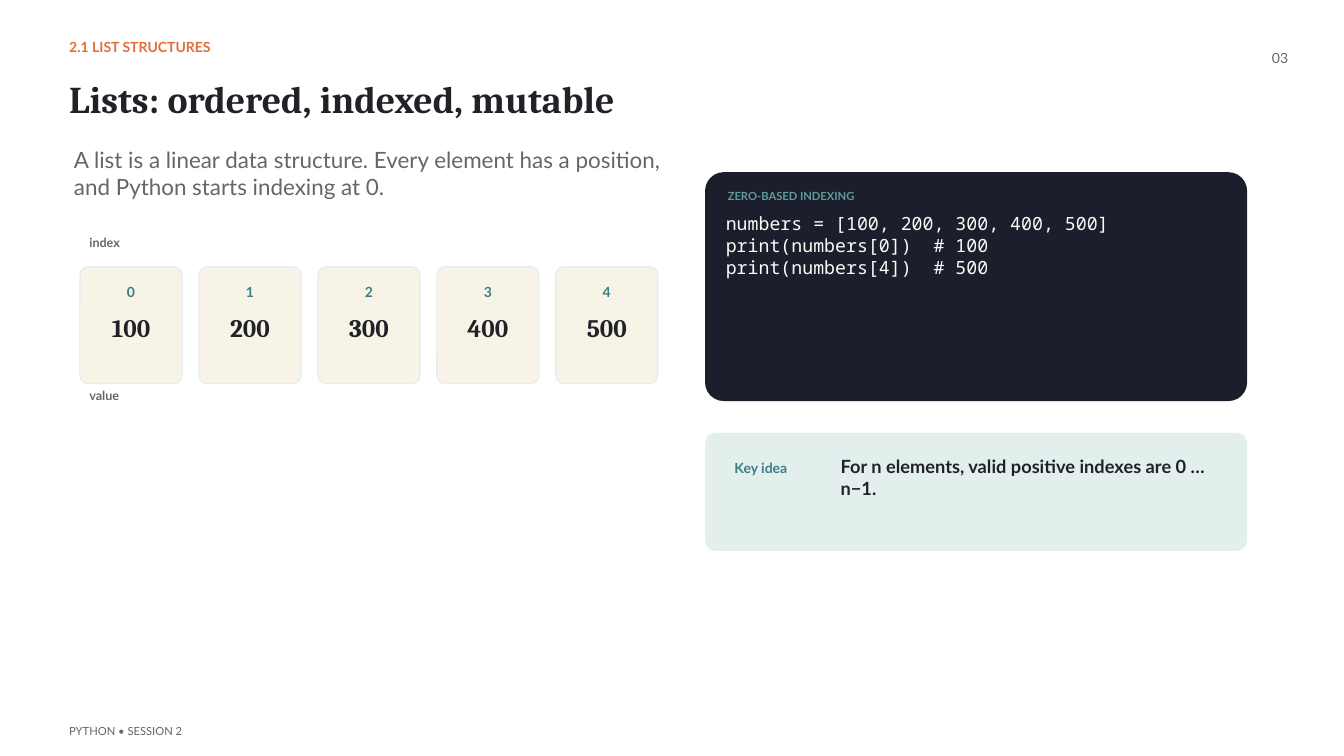
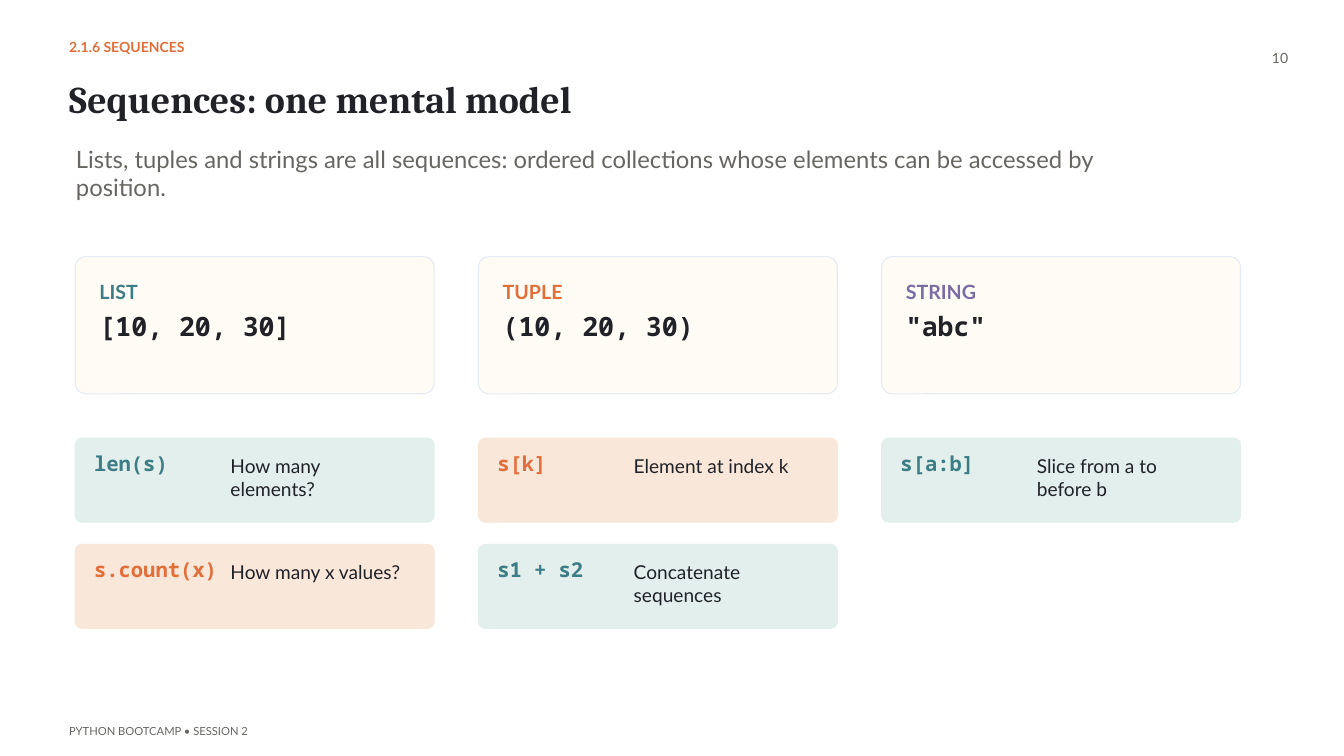
from pptx import Presentation
from pptx.dml.color import RGBColor
from pptx.enum.shapes import MSO_SHAPE
from pptx.enum.text import MSO_ANCHOR, MSO_AUTO_SIZE, PP_ALIGN
from pptx.util import Inches, Pt

ROUNDED = MSO_SHAPE.ROUNDED_RECTANGLE
TOP = MSO_ANCHOR.TOP
NO_FIT = MSO_AUTO_SIZE.NONE
LEFT, CENTER, RIGHT = PP_ALIGN.LEFT, PP_ALIGN.CENTER, PP_ALIGN.RIGHT

SANS, SERIF, MONO = "Lato", "Cambria", "Noto Sans Mono"
COLORS = {
    "paper": "FFFFFF", "ink": "202228", "grey": "676662",
    "orange": "E26F39", "teal": "3D7D85", "purple": "7B6CA4",
    "cream": "F8F3E7", "ivory": "FFFCF6", "border": "E4EBF4",
    "mint": "E2EFED", "peach": "F9E7D9",
    "night": "1C1F2B", "code": "FAFAF8", "code_label": "5F9C9E",
}


def write(slide, text, at, size, color, font=SANS, bold=False, align=LEFT, box=None):
    """Write text at (left, top, width, height), in a new box or a given one."""
    left, top, width, height = [Inches(n) for n in at]
    if box is None:
        box = slide.shapes.add_textbox(left, top, width, height)
    box.left, box.top, box.width, box.height = left, top, width, height
    frame = box.text_frame
    frame.text = text
    frame.word_wrap = True
    frame.auto_size = NO_FIT
    frame.vertical_anchor = TOP
    frame.margin_left = frame.margin_right = frame.margin_top = frame.margin_bottom = 0
    for paragraph in frame.paragraphs:
        paragraph.alignment = align
        paragraph.line_spacing = Pt(size * 1.2)
        paragraph.space_before = Pt(0)
        for run in paragraph.runs:
            run.font.name = font
            run.font.size = Pt(size)
            run.font.bold = bold
            run.font.color.rgb = RGBColor.from_string(COLORS[color])


def add_card(slide, at, radius, fill, border=None):
    """Draw a rounded card; its border takes the fill colour unless given."""
    card = slide.shapes.add_shape(ROUNDED, *[Inches(n) for n in at])
    card.adjustments[0] = radius / min(at[2:])
    card.shadow.inherit = False
    card.fill.solid()
    card.fill.fore_color.rgb = RGBColor.from_string(COLORS[fill])
    card.line.color.rgb = RGBColor.from_string(COLORS[border or fill])
    card.line.width = Pt(1.13)


prs = Presentation()
prs.slide_width, prs.slide_height = Inches(20), Inches(11.25)
title_only = prs.slide_layouts[5]

# Shared frame: section, title, page number and footer
pages = [
    ("2.1 LIST STRUCTURES", "Lists: ordered, indexed, mutable", "03",
     "PYTHON • SESSION 2"),
    ("2.1.6 SEQUENCES", "Sequences: one mental model", "10",
     "PYTHON BOOTCAMP • SESSION 2"),
]
for section, title, number, footer in pages:
    slide = prs.slides.add_slide(title_only)
    slide.background.fill.solid()
    slide.background.fill.fore_color.rgb = RGBColor.from_string(COLORS["paper"])
    write(slide, title, (1.03, 1.12, 16.71, 0.89), 40.5, "ink", SERIF, True,
          box=slide.shapes.title)
    write(slide, section, (1.03, 0.58, 8.61, 0.43), 15, "orange", bold=True)
    write(slide, number, (18.44, 0.73, 0.73, 0.43), 15, "grey", align=RIGHT)
    write(slide, footer, (1.03, 10.78, 9.66, 0.23), 12, "grey")

lists_slide, sequences_slide = prs.slides

# Lists: introduction
write(lists_slide,
      "A list is a linear data structure. Every element has a position, "
      "and Python starts indexing at 0.",
      (1.1, 2.18, 9.21, 1.1), 24, "grey")

# Lists: indexed cells
for index in range(5):
    left = 1.19 + index * 1.77
    add_card(lists_slide, (left, 3.97, 1.52, 1.74), 0.12, "cream", "border")
    write(lists_slide, str(index), (left + 0.06, 4.22, 1.4, 0.23), 15, "teal",
          bold=True, align=CENTER)
    write(lists_slide, str((index + 1) * 100), (left + 0.06, 4.65, 1.4, 0.52), 27,
          "ink", SERIF, True, CENTER)
for caption, top in [("index", 3.49), ("value", 5.77)]:
    write(lists_slide, caption, (1.33, top, 1.1, 0.29), 13.5, "grey", bold=True)

# Lists: code panel
add_card(lists_slide, (10.5, 2.57, 8.05, 3.39), 0.27, "night")
write(lists_slide, "ZERO-BASED INDEXING", (10.83, 2.81, 7.39, 0.28), 12,
      "code_label", bold=True)
write(lists_slide,
      "numbers = [100, 200, 300, 400, 500]\n"
      "print(numbers[0])  # 100\n"
      "print(numbers[4])  # 500",
      (10.8, 3.16, 7.45, 2.51), 19.5, "code", MONO)

# Lists: key idea
add_card(lists_slide, (10.5, 6.45, 8.05, 1.74), 0.14, "mint")
write(lists_slide, "Key idea", (10.93, 6.84, 1.55, 0.28), 15, "teal", bold=True)
write(lists_slide, "For n elements, valid positive indexes are 0 … n−1.",
      (12.51, 6.78, 5.53, 0.62), 19.5, "ink", bold=True)

# Sequences: introduction
write(sequences_slide,
      "Lists, tuples and strings are all sequences: ordered collections whose "
      "elements can be accessed by position.",
      (1.13, 2.15, 16.11, 1.03), 25.5, "grey")

# Sequences: grid shared by both kinds of card
grid_left, column_step, card_width = 1.12, 6.0, 5.34

# Sequences: the three types
sequence_types = [
    ("LIST", "[10, 20, 30]", "teal"),
    ("TUPLE", "(10, 20, 30)", "orange"),
    ("STRING", '"abc"', "purple"),
]
for column, (kind, example, color) in enumerate(sequence_types):
    left = grid_left + column * column_step
    add_card(sequences_slide, (left, 3.82, card_width, 2.04), 0.16, "ivory", "border")
    write(sequences_slide, kind, (left + 0.36, 4.17, 4.55, 0.35), 21, color, bold=True)
    write(sequences_slide, example, (left + 0.36, 4.61, 4.55, 0.53), 28.5, "ink",
          MONO, True)

# Sequences: shared operations, in alternating colours
operations = [
    ("len(s)", "How many elements?"),
    ("s[k]", "Element at index k"),
    ("s[a:b]", "Slice from a to before b"),
    ("s.count(x)", "How many x values?"),
    ("s1 + s2", "Concatenate sequences"),
]
tones = [("mint", "teal"), ("peach", "orange")]
for position, (operation, meaning) in enumerate(operations):
    row, column = divmod(position, 3)
    left, top = grid_left + column * column_step, 6.52 + row * 1.58
    fill, color = tones[position % 2]
    add_card(sequences_slide, (left, top, card_width, 1.25), 0.1, fill)
    write(sequences_slide, operation, (left + 0.28, top + 0.19, 1.93, 0.42), 22, color,
          MONO, True)
    write(sequences_slide, meaning, (left + 2.31, top + 0.24, 2.6, 0.67), 20.5, "ink")

prs.save("out.pptx")
